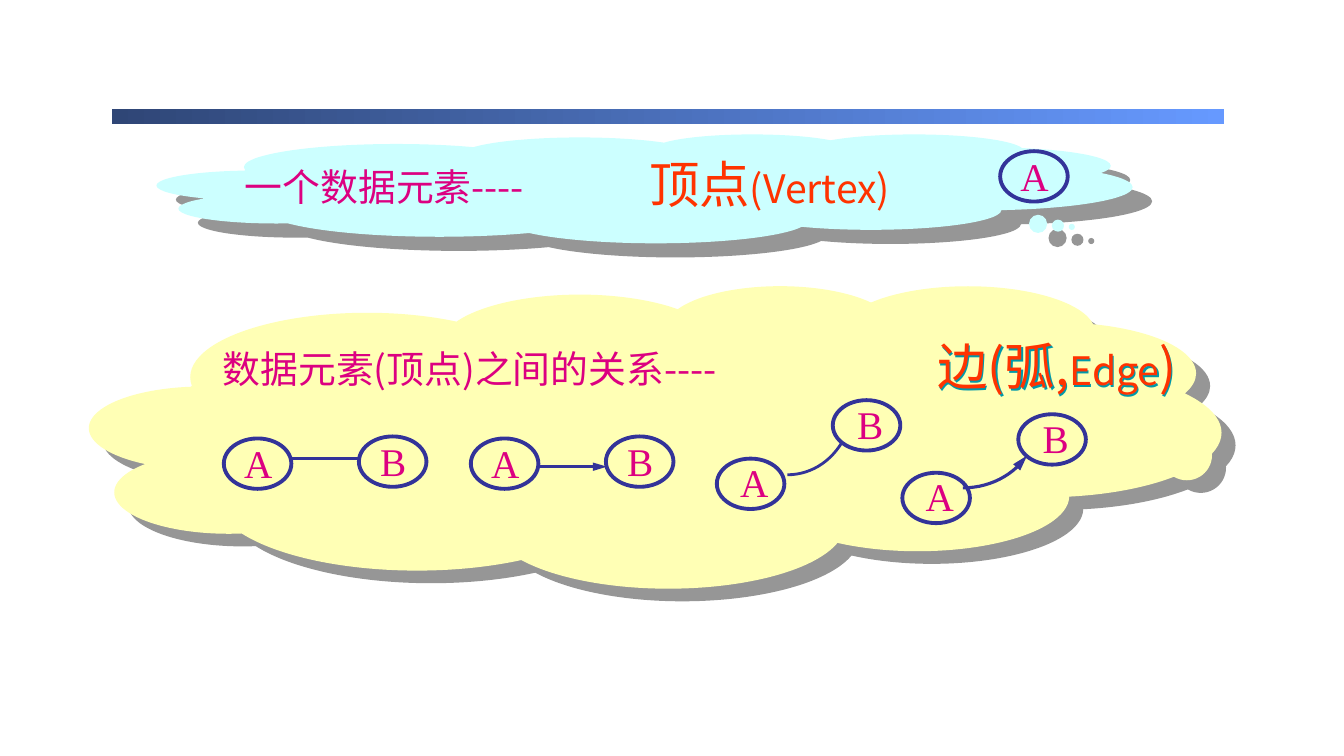
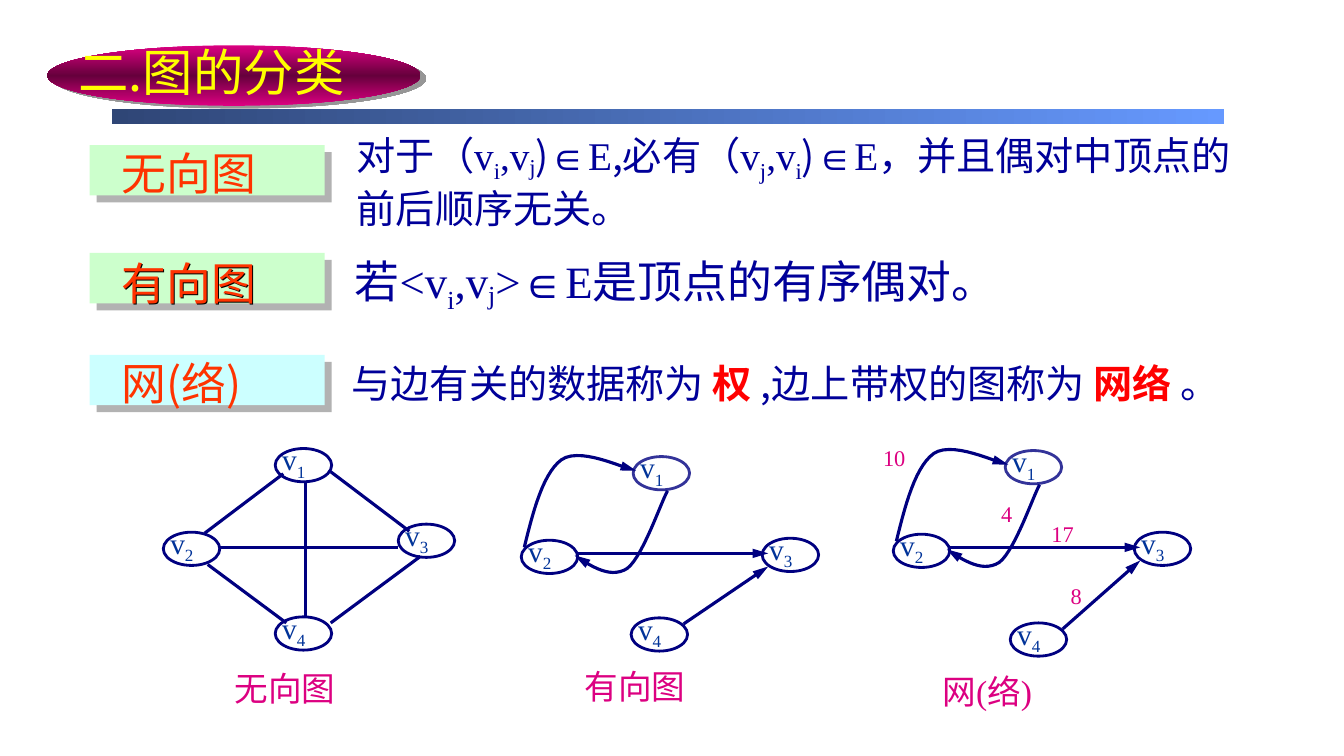
import copy
import lxml.etree
import pptx
import pptx.dml.color
import pptx.enum.shapes
import pptx.enum.text
import pptx.oxml.ns
import pptx.util

Inches = pptx.util.Inches
Pt = pptx.util.Pt
RGBColor = pptx.dml.color.RGBColor
qn = pptx.oxml.ns.qn
KIND = pptx.enum.shapes.MSO_SHAPE

NAVY = RGBColor(0x00, 0x00, 0x80)
INK = RGBColor(0x00, 0x00, 0x99)
BLUE = RGBColor(0x00, 0x33, 0x99)
INDIGO = RGBColor(0x33, 0x33, 0x99)
DUSK = RGBColor(0x2F, 0x46, 0x76)
SKY = RGBColor(0x66, 0x99, 0xFF)
PINK = RGBColor(0xDC, 0x00, 0x81)
WINE = RGBColor(0x66, 0x00, 0x3C)
ORANGE = RGBColor(0xFF, 0x33, 0x00)
RED = RGBColor(0xFF, 0x00, 0x00)
YELLOW = RGBColor(0xFF, 0xFF, 0x00)
CREAM = RGBColor(0xFF, 0xFF, 0xB5)
AQUA = RGBColor(0xCC, 0xFF, 0xFF)
MINT = RGBColor(0xCC, 0xFF, 0xCC)
GRAY = RGBColor(0x96, 0x96, 0x96)
SILVER = RGBColor(0xB2, 0xB2, 0xB2)
TEAL = RGBColor(0x00, 0x99, 0xAA)
BLACK = RGBColor(0x00, 0x00, 0x00)

HAN = "Noto Sans CJK SC"
TIMES = "Times New Roman"
VERTEX = (0.56, 0.33)
POINT = (0.67, 0.5)


def dress(item, look):
    for key, value in look.items():
        setattr(item, key, value)


def shade(shape, tone, far, turn):
    shape.shadow.inherit = False
    effects = shape._element.spPr.find(qn("a:effectLst"))
    outer = lxml.etree.SubElement(effects, qn("a:outerShdw"))
    outer.set("dist", str(int(Pt(far))))
    outer.set("dir", str(turn * 60000))
    outer.set("algn", "ctr")
    outer.set("rotWithShape", "0")
    lxml.etree.SubElement(outer, qn("a:srgbClr")).set("val", str(tone))


def blend(shape, tones, turn):
    fill = shape.fill
    fill.gradient()
    fill.gradient_angle = turn
    stops = shape._element.spPr.find(".//" + qn("a:gsLst"))
    while len(stops) < len(tones):
        stops.append(copy.deepcopy(stops[0]))
    for i, tone in enumerate(tones):
        stop = fill.gradient_stops[i]
        stop.color.rgb = tone
        stop.position = i / (len(tones) - 1)


def draw(slide, kind, box, fill=None, line=None, width=2):
    shape = slide.shapes.add_shape(kind, *map(Inches, box))
    shape.shadow.inherit = False
    if fill is None:
        shape.fill.background()
    else:
        shape.fill.solid()
        shape.fill.fore_color.rgb = fill
    if line is None:
        shape.line.fill.background()
    else:
        shape.line.color.rgb = line
        shape.line.width = Pt(width)
    return shape


def write(slide, box, runs, size, color, wrap=True, align=None):
    area = slide.shapes.add_textbox(*map(Inches, box))
    frame = area.text_frame
    dress(frame, {"word_wrap": wrap,
                  "auto_size": pptx.enum.text.MSO_AUTO_SIZE.SHAPE_TO_FIT_TEXT})
    para = frame.paragraphs[0]
    para.alignment = align
    for text, look in runs:
        look = {"name": HAN, "size": size, "rgb": color, "base": 0, **look}
        run = para.add_run()
        run.text = text
        run.font.color.rgb = look.pop("rgb")
        base = look.pop("base")
        look["size"] = Pt(look["size"])
        dress(run.font, look)
        props = run._r.get_or_add_rPr()
        if base:
            props.set("baseline", str(base * 1000))
        lxml.etree.SubElement(props, qn("a:ea")).set("typeface", HAN)
    return area


def finish(item, color, width, head, tail):
    item.line.color.rgb = color
    item.line.width = Pt(width)
    line = item.line._get_or_add_ln()
    for name, on in (("headEnd", head), ("tailEnd", tail)):
        if on:
            end = lxml.etree.SubElement(line, qn("a:" + name))
            for key, value in {"type": "triangle", "w": "med", "len": "lg"}.items():
                end.set(key, value)


def link(slide, start, stop, color, width=2.25, tail=False):
    line = slide.shapes.add_connector(
        pptx.enum.shapes.MSO_CONNECTOR.STRAIGHT, *map(Inches, start + stop))
    finish(line, color, width, False, tail)
    lxml.etree.SubElement(line._element.spPr, qn("a:effectLst"))


def curve(slide, x, y, knots, color, width=2.25, head=False, tail=False):
    steps = 14
    dots = []
    for k in range(0, len(knots) - 1, 3):
        for n in range(steps + 1):
            t = n / steps
            parts = ((1 - t) ** 3, 3 * t * (1 - t) ** 2, 3 * t * t * (1 - t), t ** 3)
            spot = [sum(p * knot[axis] for p, knot in zip(parts, knots[k:k + 4]))
                    for axis in (0, 1)]
            dots.append((Inches(x + spot[0]), Inches(y + spot[1])))
    pen = slide.shapes.build_freeform(*dots[0])
    pen.add_line_segments(dots[1:], close=False)
    shape = pen.convert_to_shape()
    shape.fill.background()
    shape.shadow.inherit = False
    finish(shape, color, width, head, tail)


def band(slide):
    blend(draw(slide, KIND.RECTANGLE, (1.11, 1.08, 11.03, 0.15)), (DUSK, SKY), 0)


def cloud(slide, box, fill, tip, far, turn):
    shape = draw(slide, KIND.CLOUD_CALLOUT, box, fill)
    for i, value in enumerate(tip):
        shape.adjustments[i] = value
    shade(shape, GRAY, far, turn)


def point(slide, x, y, name, shift=(0.1, -0.04)):
    draw(slide, KIND.OVAL, (x, y) + POINT, None, INDIGO, 2.75)
    write(slide, (x + shift[0], y + shift[1], 0.48, 0.57), [(name, {"name": TIMES})],
          28, PINK, False, pptx.enum.text.PP_ALIGN.CENTER)


def pair(slide, x, y, reach, shift=(0.1, -0.04)):
    point(slide, x, y, "A", shift)
    point(slide, x + reach[0], y + reach[1], "B", shift)


def define(slide):
    band(slide)
    cloud(slide, (1.56, 1.33, 9.67, 1.08), AQUA, (0.438, 0.353), 17.2, 36)
    write(slide, (2.33, 1.58, 3.23, 0.56), [("一个数据元素----", {})], 27, PINK, False)
    term = write(slide, (6.34, 1.47, 3.47, 0.71),
                 [("顶点", {}), ("(Vertex)", {"size": 28})], 36, ORANGE)
    shade(term, AQUA, 1.5, 45)
    point(slide, 9.92, 1.5, "A")

    cloud(slide, (0.89, 2.83, 11.22, 3), CREAM, (0.403, 0.053), 13.5, 42)
    write(slide, (2.11, 3.38, 8.67, 0.55), [("数据元素(顶点)之间的关系----", {})], 27, PINK)
    term = write(slide, (9.2, 3.28, 3.45, 0.71),
                 [("边(弧,", {}), ("Edge", {"size": 28}), (")", {})], 36, ORANGE)
    shade(term, TEAL, 1.5, 45)

    link(slide, (2.89, 4.55), (3.56, 4.55), INDIGO, 2.5)
    link(slide, (5.36, 4.63), (6.02, 4.63), INDIGO, 2, True)
    for x in (2.22, 4.67):
        pair(slide, x, 4.35, (1.34, -0.02))
    bend = [(0, 0), (0.22, 0), (0.42, -0.12), (0.54, -0.32)]
    curve(slide, 7.81, 4.71, bend, INDIGO, 2)
    curve(slide, 9.55, 4.84, [(u * 1.18, v) for u, v in bend], INDIGO, 2.25, tail=True)
    for x, y in ((7.11, 4.55), (8.95, 4.69)):
        pair(slide, x, y, (1.15, -0.58), (0.13, -0.05))


def graph(slide, x, y, spots, caption, place, first=NAVY):
    for i, (dx, dy) in enumerate(spots):
        draw(slide, KIND.OVAL, (x + dx, y + dy) + VERTEX, None, NAVY if i else first)
        write(slide, (x + dx - 0.03, y + dy - 0.12, 0.45, 0.45),
              [("v", {"name": TIMES}), (str(i + 1), {"name": TIMES, "base": -25})],
              21, BLUE, False)
    write(slide, (x + place[0], y + place[1], 2.25, 0.5), caption, 24, PINK)


def plain(slide, x, y):
    graph(slide, x, y, [(1.11, 0), (0, 0.83), (2.33, 0.75), (1.11, 1.67)],
          [("无向图", {})], (0.61, 2.13))
    for a, b, c, d in ((0.41, 0.84, 1.19, 0.25), (0.55, 0.98, 2.33, 0.98),
                       (1.41, 0.34, 1.41, 1.67), (1.66, 0.23, 2.44, 0.82),
                       (1.66, 1.73, 2.55, 1.07), (0.44, 1.15, 1.22, 1.73)):
        link(slide, (x + a, y + b), (x + c, y + d), NAVY)


def aimed(slide, x, y, last, caption, place):
    graph(slide, x, y, [(1.11, 0.1), (0, 0.93), (2.39, 0.91), last],
          caption, place, INDIGO)
    link(slide, (x + 0.56, y + 1.06), (x + 2.45, y + 1.06), NAVY, tail=True)
    link(slide, (x + last[0] + 0.52, y + last[1] + 0.06), (x + 2.45, y + 1.19),
         NAVY, tail=True)
    curve(slide, x, y, [(0.03, 1), (0.12, 0.63), (0.22, 0.26), (0.4, 0.13),
                        (0.59, 0), (1.02, 0.22), (1.14, 0.24)], NAVY, tail=True)
    curve(slide, x, y, [(0.53, 1.08), (0.71, 1.2), (0.89, 1.31), (1.05, 1.21),
                        (1.2, 1.1), (1.38, 0.57), (1.45, 0.44)], NAVY, head=True)


def web(slide, x, y):
    aimed(slide, x, y, (1.16, 1.81),
          [("网", {}), ("(", {"name": TIMES}), ("络", {}), (")", {"name": TIMES})],
          (0.39, 2.24))
    for dx, dy, cost in ((-0.2, -0.01, "10"), (0.97, 0.54, "4"),
                         (1.47, 0.74, "17"), (1.66, 1.36, "8")):
        write(slide, (x + dx, y + dy, 0.31 if len(cost) == 1 else 0.43, 0.37),
              [(cost, {"name": TIMES})], 16, PINK, False)


def label(slide, y, text, fill, drop, tone=None):
    shade(draw(slide, KIND.RECTANGLE, (0.89, y, 2.33, 0.5), fill), SILVER, 7.1, 45)
    area = write(slide, (1.11, y + drop, 2.02, 0.64), [(text, {})], 32, ORANGE)
    if tone is not None:
        shade(area, tone, 1, 45)


def title(slide, x, y):
    pill = draw(slide, KIND.OVAL, (x, y, 3.7, 0.6))
    blend(pill, (PINK, WINE, PINK), 90)
    shade(pill, GRAY, 4.5, 27)
    write(slide, (x + 0.21, y - 0.09, 4.42, 0.71), [("二.图的分类", {})], 36, YELLOW)


def sort(slide):
    band(slide)
    roman = {"name": TIMES}
    low = {"name": TIMES, "base": -25}
    lift = {"name": TIMES, "base": -14}
    bold = {"rgb": RED, "bold": True}
    write(slide, (3.44, 1.25, 9.14, 1.04),
          [("对于", {}), ("（v", roman), ("i", low), (",v", roman), ("j", lift),
           (")", {}), ("∈E", roman), (",必有", {}), ("（v", roman), ("j", low),
           (",v", roman), ("i", low), (")", {}), ("∈E", roman),
           ("，并且偶对中顶点的前后顺序无关。", {})], 28, INK)
    write(slide, (3.42, 2.47, 6.51, 0.64),
          [("若", {}), ("<v", roman), ("i", low), (",v", roman), ("j", lift),
           (">∈E", roman), ("是顶点的有序偶对。", {})], 32, INK, False)
    write(slide, (3.39, 3.52, 9.44, 0.57),
          [("与边有关的数据称为 ", {}), ("权 ", bold), (",边上带权的图称为 ", {}),
           ("网络 ", bold), ("。", {})], 28, INK, False)
    label(slide, 1.44, "无向图", MINT, -0.04)
    label(slide, 2.51, "有向图", MINT, -0.02, BLACK)
    label(slide, 3.52, "网(络)", AQUA, -0.04)
    plain(slide, 1.62, 4.45)
    aimed(slide, 5.17, 4.43, (1.09, 1.7), [("有向图", {})], (0.53, 2.13))
    web(slide, 8.86, 4.37)
    title(slide, 0.47, 0.45)


def main():
    deck = pptx.Presentation()
    dress(deck, {"slide_width": Inches(13.33), "slide_height": Inches(7.5)})
    for build in (define, sort):
        build(deck.slides.add_slide(deck.slide_layouts[6]))
    deck.save("out.pptx")


if __name__ == "__main__":
    main()
